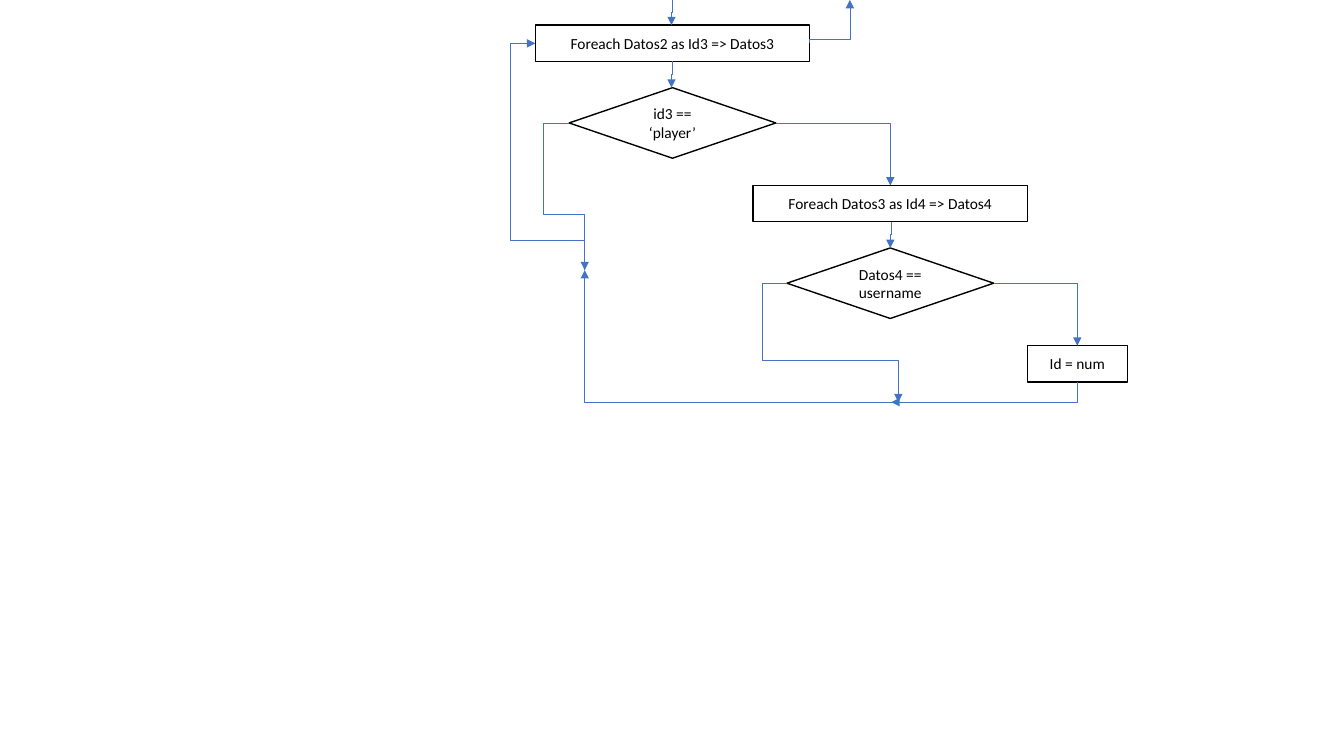
"""Build a flowchart slide of nested foreach loops that look up a player's id."""
import pptx
import pptx.dml.color
import pptx.enum.shapes
import pptx.enum.text
import pptx.oxml.ns
import pptx.oxml.xmlchemy
import pptx.util
import lxml.etree
from dataclasses import dataclass

Inches = pptx.util.Inches
Pt = pptx.util.Pt
RGB = pptx.dml.color.RGBColor
qn = pptx.oxml.ns.qn
PRESET = pptx.enum.shapes.MSO_SHAPE
TOP, LEFT, BOTTOM, RIGHT = range(4)


@dataclass(frozen=True)
class Theme:
    font: str = "Calibri"
    size: int = 11
    ink: RGB = RGB(0, 0, 0)
    paper: RGB = RGB(255, 255, 255)
    arrow: RGB = RGB(0x44, 0x72, 0xC4)
    outline: float = 1
    arrow_width: float = 0.5


theme = Theme()
deck = pptx.Presentation()
deck.slide_width, deck.slide_height = Inches(13.33), Inches(7.5)
slide = deck.slides.add_slide(deck.slide_layouts[6])


def add_step(preset, left, top, width, height, wording):
    step = slide.shapes.add_shape(preset, Inches(left), Inches(top), Inches(width), Inches(height))
    step.shadow.inherit = False
    step.fill.solid()
    step.fill.fore_color.rgb = theme.paper
    step.line.color.rgb = theme.ink
    step.line.width = Pt(theme.outline)
    step.text_frame.vertical_anchor = pptx.enum.text.MSO_ANCHOR.MIDDLE
    paragraph = step.text_frame.paragraphs[0]
    paragraph.alignment = pptx.enum.text.PP_ALIGN.CENTER
    run = paragraph.add_run()
    run.text = wording
    run.font.name, run.font.size = theme.font, Pt(theme.size)
    run.font.color.rgb = theme.ink
    return step


def add_flow(start, end, starts_down, segments, bends=(), joins=None):
    (x1, y1), (x2, y2) = start, end
    flow = slide.shapes.add_connector(
        pptx.enum.shapes.MSO_CONNECTOR.ELBOW, Inches(x1), Inches(y1), Inches(x2), Inches(y2))
    if joins:
        source, source_site, target, target_site = joins
        flow.begin_connect(source, source_site)
        flow.end_connect(target, target_site)
    properties = flow._element.spPr
    if starts_down:
        width, height = abs(y2 - y1), abs(x2 - x1)
        flow.left, flow.top = Inches((x1 + x2 - width) / 2), Inches((y1 + y2 - height) / 2)
        flow.width, flow.height = Inches(width), Inches(height)
        frame = properties.find(qn("a:xfrm"))
        frame.set("rot", "5400000")
        frame.set("flipH", str(int(y2 < y1)))
        frame.set("flipV", str(int(x2 > x1)))
    geometry = properties.find(qn("a:prstGeom"))
    geometry.set("prst", f"bentConnector{segments}")
    for number, bend in enumerate(bends, 1):
        lxml.etree.SubElement(geometry.find(qn("a:avLst")), qn("a:gd"),
                              name=f"adj{number}", fmla=f"val {round(bend * 100000)}")
    flow.line.color.rgb = theme.arrow
    flow.line.width = Pt(theme.arrow_width)
    lxml.etree.SubElement(properties.find(qn("a:ln")), qn("a:tailEnd"), type="triangle")
    lxml.etree.SubElement(properties, qn("a:effectLst"))


levels = []
for left, top, loop_wording, test_wording in (
    (5.31, 0.25, "Foreach Datos2 as Id3 => Datos3", "id3 == ‘player’"),
    (7.47, 1.84, "Foreach Datos3 as Id4 => Datos4", "Datos4 == username"),
):
    loop = add_step(PRESET.RECTANGLE, left, top, 2.72, 0.36, loop_wording)
    test = add_step(PRESET.DIAMOND, left + 0.335, top + 0.62, 2.05, 0.7, test_wording)
    levels.append((loop, test))
(outer_loop, player_test), (inner_loop, username_test) = levels
assign_id = add_step(PRESET.RECTANGLE, 10.19, 3.43, 0.99, 0.36, "Id = num")

outer_merge, inner_merge = (5.8, 2.68), (8.91, 3.99)

add_flow((6.67, 0), (6.66, 0.25), True, 3)
add_flow((6.67, 0.61), (6.66, 0.87), True, 3, joins=(outer_loop, BOTTOM, player_test, TOP))
add_flow((7.69, 1.22), (8.83, 1.84), False, 2, joins=(player_test, RIGHT, inner_loop, TOP))
add_flow((8.84, 2.2), (8.83, 2.46), True, 3, joins=(inner_loop, BOTTOM, username_test, TOP))
add_flow((9.86, 2.81), (10.69, 3.43), False, 2, joins=(username_test, RIGHT, assign_id, TOP))
add_flow((10.69, 3.79), (8.84, 3.99), True, 2)
add_flow((7.81, 2.81), inner_merge, False, 4, (-0.23, 0.65))
add_flow(inner_merge, outer_merge, False, 2)
add_flow((5.64, 1.22), outer_merge, False, 4, (-1.6, 0.62))
add_flow(outer_merge, (5.31, 0.43), True, 4, (0.13, 1.51))
add_flow((8.03, 0.43), (8.43, 0), True, 3, (0.09,))

deck.save("out.pptx")
